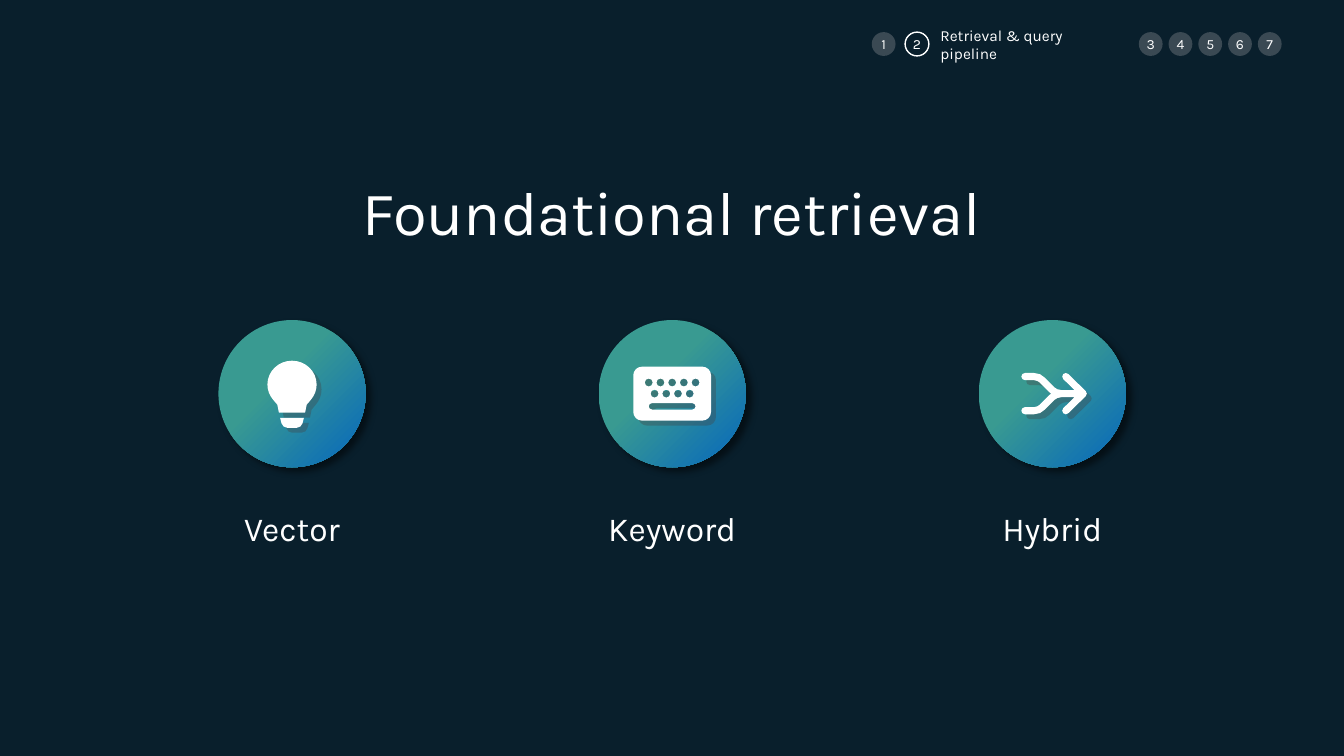
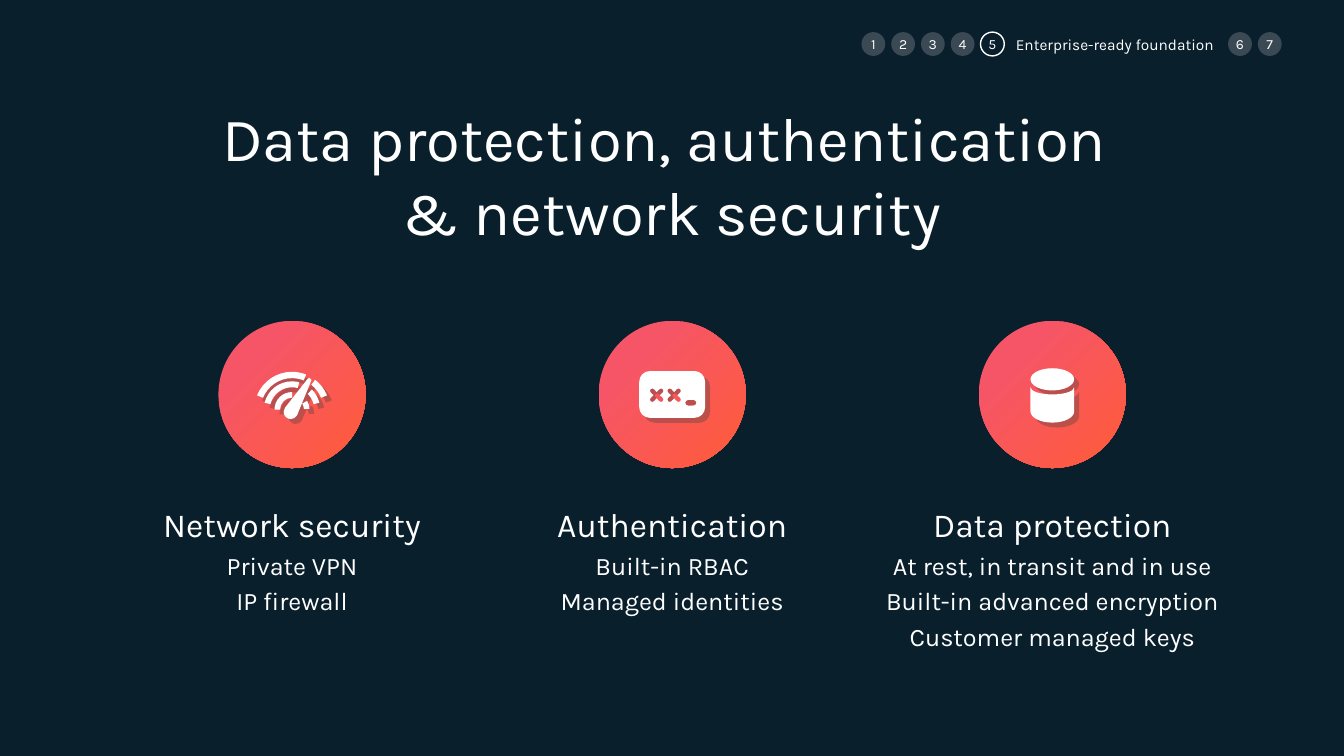
import itertools
import math
import pptx
import pptx.dml.color
import pptx.enum.shapes
import pptx.enum.text
import pptx.oxml
import pptx.oxml.ns
import pptx.util

Cm = pptx.util.Cm
Pt = pptx.util.Pt
OVAL = pptx.enum.shapes.MSO_SHAPE.OVAL
ALIGN = pptx.enum.text.PP_ALIGN
ANCHOR = pptx.enum.text.MSO_ANCHOR
SPACE = pptx.oxml.ns.nsdecls("a")
DARK, GREY, WHITE = "091F2C", "3A4953", "FFFFFF"
MID, STEP = 16.94, 9.58
BADGE, DOT = 3.71, 0.6


def tint(fill, color):
    fill.solid()
    fill.fore_color.rgb = pptx.dml.color.RGBColor.from_string(color)


def write(shape, text, size, rest=None, align=ALIGN.CENTER,
          anchor=ANCHOR.TOP, gap=0, inset=0):
    frame = shape.text_frame
    frame.word_wrap = True
    frame.vertical_anchor = anchor
    frame.margin_left = Cm(inset)
    frame.margin_top = frame.margin_right = frame.margin_bottom = 0
    for i, line in enumerate(text.split("\n")):
        par = frame.add_paragraph() if i else frame.paragraphs[0]
        par.text = line
        par.alignment = align
        if i:
            par.space_before = Pt(gap)
        for run in par.runs:
            run.font.name = "Karla"
            run.font.size = Pt(rest if i and rest else size)
            tint(run.font.fill, WHITE)


turns = [(1, 1, 0), (-1, 1, 90), (-1, -1, 180), (1, -1, 270)]
panels = [
    [(sx * (w - r), sy * (h - r), r, r, a, a + 90) for sx, sy, a in turns]
    for w, h, r in ((0.98, 0.68, 0.22), (0.83, 0.59, 0.27))
]
bars = [
    [(x - w, y, r, r, 90, 270), (x + w, y, r, r, -90, 90)]
    for x, y, w, r in ((0, 0.32, 0.51, 0.08), (0.47, 0.21, 0.07, 0.07))
]

bulb = [
    [(0, -0.23, 0.62, 0.6, 140, 400), (0.37, 0.28), (0.33, 0.48),
     (-0.33, 0.48), (-0.37, 0.28)],
    [(0.3, 0.61), (0.12, 0.71, 0.15, 0.15, 15, 90),
     (-0.12, 0.71, 0.15, 0.15, 90, 165), (-0.3, 0.61)],
]
keys = [panels[0], bars[0]] + [
    [((i - (n - 1) / 2) * 0.295, y, 0.1, 0.1, 0, 360)]
    for n, y in ((5, -0.28), (4, 0)) for i in range(n)
]
half = [
    (0.78, 0, 0.09, 0.09, 0, -45), (0.34, -0.43, 0.09, 0.09, -45, -225),
    (0.56, -0.09), (0.23, -0.09), (0.13, -0.11), (0.05, -0.16),
    (-0.2, -0.41), (-0.31, -0.49), (-0.46, -0.52),
    (-0.69, -0.43, 0.09, 0.09, -90, -270), (-0.46, -0.34),
    (-0.38, -0.32), (-0.33, -0.29), (-0.08, -0.04), (-0.03, 0),
]
merge = [half + [
    (p[0], -p[1], *p[2:4], *(-a for a in p[:3:-1])) for p in reversed(half)
]]
gauge = [
    [(0, 0.38, out, out, a, b), (0, 0.38, inn, inn, b, a)]
    for out, inn, *ends in (
        (0.95, 0.79, 202, 292, 308, 338),
        (0.71, 0.56, 194, 285, 315, 346),
        (0.44, 0.3, 180, 270, 330, 358))
    for a, b in (ends[:2], ends[2:])
] + [[(-0.03, 0.44, 0.18, 0.18, 30, 215),
      (0.44, -0.37, 0.05, 0.05, 215, 380)]]
code = [panels[1], bars[1]] + [
    [part for sx, sy, a in turns for part in (
        (x + 0.11 * sx, 0.02 + 0.11 * sy, 0.06, 0.06, a - 45, a + 135),
        (x, 0.02, 0.08, 0.08, a + 90, a + 90))]
    for x in (-0.39, 0.05)
]
drum = [
    [(0, -0.38, 0.55, 0.28, 0, 360)],
    [(0, 0.43, 0.55, 0.28, 0, 180), (0, -0.18, 0.55, 0.18, 180, 0)],
]

pages = [
    dict(title="Foundational retrieval", wide=22.17, row=9.92,
         now=2, label="Retrieval & query pipeline", start=21.97, gap=0.84,
         span=4.88, stops=((5, "0A6BBA"), (60, "399A91")),
         shade=("000000", 50, 5, 40), top=12.8, anchor=ANCHOR.MIDDLE,
         items=[(bulb, 7.87, 1.02, "Vector"),
                (keys, 7.87, 1.02, "Keyword"),
                (merge, 7.87, 1.02, "Hybrid")]),
    dict(title="Data protection, authentication \v& network security",
         wide=26.82, row=9.94,
         now=5, label="Enterprise-ready foundation", start=21.71, gap=0.75,
         span=5.4, stops=((0, "FF5C39"), (75, "F65567")),
         shade=None, top=12.7, anchor=ANCHOR.TOP,
         items=[(gauge, 7.16, 2.84,
                 "Network security\nPrivate VPN\nIP firewall"),
                (code, 7.16, 2.84,
                 "Authentication\nBuilt-in RBAC\nManaged identities"),
                (drum, 9.53, 3.76,
                 "Data protection\nAt rest, in transit and in use\n"
                 "Built-in advanced encryption\nCustomer managed keys")]),
]

deck = pptx.Presentation()
deck.slide_width, deck.slide_height = Cm(33.87), Cm(19.05)
tint(deck.slide_master.background.fill, DARK)

for page in pages:
    shapes = deck.slides.add_slide(deck.slide_layouts[6]).shapes
    wide, tall = page["wide"], 1.88 * len(page["title"].split("\v"))
    head = shapes.add_textbox(
        Cm(MID - wide / 2), Cm(6.27 - tall), Cm(wide), Cm(tall))
    write(head, page["title"], 44)

    row = page["row"]
    for col, (icon, wide, tall, text) in enumerate(page["items"]):
        mid = MID + (col - 1) * STEP
        box = shapes.add_textbox(
            Cm(mid - wide / 2), Cm(page["top"]), Cm(wide), Cm(tall))
        write(box, text, 24, rest=18, anchor=page["anchor"], gap=4)

        badge = shapes.add_shape(
            OVAL, Cm(mid - BADGE / 2), Cm(row - BADGE / 2),
            Cm(BADGE), Cm(BADGE))
        badge.line.fill.background()
        stops = "".join(
            f'<a:gs pos="{pos * 1000}"><a:srgbClr val="{color}"/></a:gs>'
            for pos, color in page["stops"])
        badge._element.spPr.insert(2, pptx.oxml.parse_xml(
            f'<a:gradFill {SPACE} rotWithShape="1"><a:gsLst>{stops}</a:gsLst>'
            '<a:path path="circle"><a:fillToRect l="100000" t="100000"/>'
            '</a:path></a:gradFill>'))

        pen, count, bends = None, 0, []
        for outline in icon:
            dots = []
            for part in outline:
                x, y, rx, ry, a, b = (*part, 0, 0, 0, 0)[:6]
                low, high = min(a, b), max(a, b)
                cuts = sorted(
                    {a, b, *(q for q in range(-360, 721, 90)
                             if low < q < high)}, reverse=b < a)
                turn = math.radians(a)
                ring = [(math.cos(turn), math.sin(turn))]
                for pair in itertools.pairwise(cuts):
                    bends.append(count + len(dots) + len(ring) - 1)
                    s, e = map(math.radians, pair)
                    k = 4 / 3 * math.tan((e - s) / 4)
                    ring += [
                        (math.cos(s) - k * math.sin(s),
                         math.sin(s) + k * math.cos(s)),
                        (math.cos(e) + k * math.sin(e),
                         math.sin(e) - k * math.cos(e)),
                        (math.cos(e), math.sin(e))]
                dots += [(Cm(mid + x + rx * u), Cm(row + y + ry * v))
                         for u, v in ring]
            if pen:
                pen.move_to(*dots[0])
            else:
                pen = shapes.build_freeform(*dots[0], scale=1.0)
            pen.add_line_segments(dots[1:], close=True)
            count += len(dots) - 1
        sign = pen.convert_to_shape()
        lines = list(sign._element.iter(pptx.oxml.ns.qn("a:lnTo")))
        for i in bends:
            curve = pptx.oxml.parse_xml(f"<a:cubicBezTo {SPACE}/>")
            lines[i].addprevious(curve)
            for line in lines[i:i + 3]:
                curve.append(line[0])
                line.getparent().remove(line)
        tint(sign.fill, WHITE)
        sign.line.fill.background()

        for shape, shade in ((badge, page["shade"]),
                             (sign, ("454142", 35, 0, 45))):
            shape.shadow.inherit = False
            if shade:
                color, alpha, blur, angle = shade
                shape._element.spPr.find(
                    pptx.oxml.ns.qn("a:effectLst")
                ).append(pptx.oxml.parse_xml(
                    f'<a:outerShdw {SPACE} blurRad="{Pt(blur)}" '
                    f'dist="{Pt(5)}" dir="{angle * 60000}" algn="tl" '
                    f'rotWithShape="0"><a:srgbClr val="{color}">'
                    f'<a:alpha val="{alpha * 1000}"/>'
                    '</a:srgbClr></a:outerShdw>'))

    group = shapes.add_group_shape().shapes
    now = page["now"]
    for num in range(1, 8):
        left = 31.7 - (7 - num) * 0.75
        if num <= now:
            left = page["start"] + (num - 1) * page["gap"]
        dot = group.add_shape(OVAL, Cm(left), Cm(0.81), Cm(DOT), Cm(DOT))
        dot.shadow.inherit = False
        tint(dot.fill, DARK if num == now else GREY)
        if num == now:
            tint(dot.line.fill, WHITE)
            dot.line.width = Pt(1)
            label = group.add_textbox(
                Cm(left + 0.59), Cm(0.88), Cm(page["span"]), Cm(0.48))
            write(label, page["label"], 11, align=ALIGN.LEFT,
                  anchor=ANCHOR.MIDDLE, inset=0.3)
        else:
            dot.line.fill.background()
        write(dot, str(num), 10, anchor=ANCHOR.MIDDLE)

deck.save("out.pptx")
